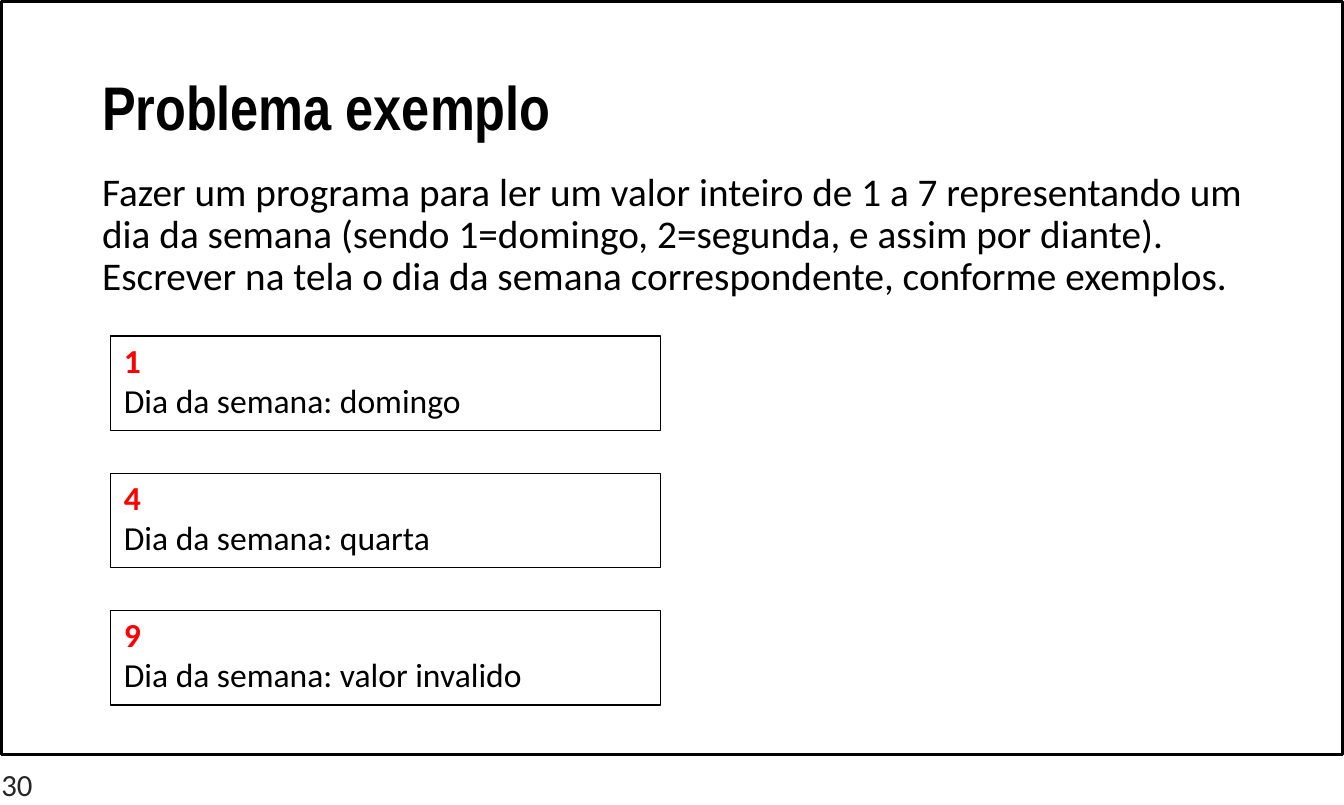
"""Build the example-problem slide with three sample program runs."""
from dataclasses import dataclass

from lxml import etree
from pptx import Presentation
from pptx import util as u
from pptx.dml.color import RGBColor
from pptx.enum import shapes, text
from pptx.oxml import ns
from pptx.shapes.autoshape import Shape
from pptx.slide import Slide

PX = 3175


@dataclass(frozen=True)
class Theme:
    """Colours, fonts and type sizes of the slide."""
    ink: RGBColor = RGBColor(0, 0, 0)
    entry: RGBColor = RGBColor(255, 0, 0)
    page: RGBColor = RGBColor(0x26, 0x26, 0x26)
    heading_font: str = "Arial Narrow"
    text_font: str = "Calibri"
    heading_size: float = 22
    body_size: float = 14
    sample_size: float = 12
    page_size: float = 11


THEME = Theme()


@dataclass(frozen=True)
class Box:
    """Position and size in px."""
    left: int
    top: int
    width: int
    height: int


@dataclass(frozen=True)
class Line:
    """One paragraph with its look."""
    words: str
    size: float
    color: RGBColor = THEME.ink
    font: str = THEME.text_font
    bold: bool = False
    before: float = 0
    spacing: float | None = None


@dataclass(frozen=True)
class Sample:
    """A typed number and the day the program answers."""
    number: str
    day: str


SAMPLES = [Sample("1", "domingo"), Sample("4", "quarta"), Sample("9", "valor invalido")]
FIRST_SAMPLE = Box(158, 480, 786, 135)
SAMPLE_PITCH = 196


def place(shape: Shape, box: Box) -> None:
    """Move and size a shape."""
    shape.left, shape.top = box.left * PX, box.top * PX
    shape.width, shape.height = box.width * PX, box.height * PX


def write(shape: Shape, lines: list[Line], left: int, top: int) -> None:
    """Fill a shape with left-aligned lines, inset by px."""
    frame = shape.text_frame
    frame.text = "\n".join(line.words for line in lines)
    frame.word_wrap = True
    frame.auto_size = text.MSO_AUTO_SIZE.NONE
    frame.vertical_anchor = text.MSO_ANCHOR.TOP
    frame.margin_left, frame.margin_top = left * PX, top * PX
    frame.margin_right = frame.margin_bottom = 0
    for paragraph, line in zip(frame.paragraphs, lines):
        paragraph.alignment = text.PP_ALIGN.LEFT
        paragraph.space_before = u.Pt(line.before)
        if line.spacing:
            paragraph.line_spacing = u.Pt(line.spacing)
        for run in paragraph.runs:
            run.font.name = line.font
            run.font.size = u.Pt(line.size)
            run.font.bold = line.bold
            run.font.color.rgb = line.color


def remove_bullets(shape: Shape) -> None:
    """Drop the bullets and hanging indents of a placeholder."""
    for paragraph in shape.text_frame.paragraphs:
        properties = paragraph._p.get_or_add_pPr()
        properties.set("marL", "0")
        properties.set("indent", "0")
        etree.SubElement(properties, ns.qn("a:buNone"))


def add_outline(slide: Slide, box: Box, weight: float) -> Shape:
    """Add an unfilled rectangle with a thin line."""
    outline = slide.shapes.add_shape(shapes.MSO_SHAPE.RECTANGLE, 0, 0, 0, 0)
    place(outline, box)
    outline.shadow.inherit = False
    outline.fill.background()
    outline.line.color.rgb = THEME.ink
    outline.line.width = u.Pt(weight)
    return outline


def add_sample(slide: Slide, sample: Sample, index: int) -> None:
    """Draw one sample run below the previous one."""
    first = FIRST_SAMPLE
    box = Box(first.left, first.top + index * SAMPLE_PITCH, first.width, first.height)
    write(add_outline(slide, box, 0.48), [
        Line(sample.number, THEME.sample_size, THEME.entry, bold=True, before=1.6),
        Line(f"Dia da semana: {sample.day}", THEME.sample_size),
    ], 19, 5)


def main() -> None:
    """Build and save the slide."""
    deck = Presentation()
    deck.slide_width, deck.slide_height = 1920 * PX, 1150 * PX
    slide = deck.slides.add_slide(deck.slide_layouts[1])

    heading = slide.shapes.title
    place(heading, Box(142, 95, 657, 112))
    write(heading, [Line("Problema exemplo", THEME.heading_size,
                         font=THEME.heading_font, bold=True, before=0.9)], 4, 4)

    task = slide.placeholders[1]
    place(task, Box(142, 234, 1640, 196))
    write(task, [
        Line("Fazer um programa para ler um valor inteiro de 1 a 7 representando um "
             "dia da semana (sendo 1=domingo, 2=segunda, e assim por diante).",
             THEME.body_size, before=3, spacing=15.1),
        Line("Escrever na tela o dia da semana correspondente, conforme exemplos.",
             THEME.body_size, spacing=14.9),
    ], 4, 12)
    remove_bullets(task)

    for index, sample in enumerate(SAMPLES):
        add_sample(slide, sample, index)

    add_outline(slide, Box(2, 2, 1916, 1076), 0.96)

    page_number = slide.shapes.add_textbox(0, 0, 0, 0)
    place(page_number, Box(-2, 1090, 52, 60))
    write(page_number, [Line("30", THEME.page_size, THEME.page, before=1.1)], 4, 4)

    deck.save("out.pptx")


if __name__ == "__main__":
    main()
